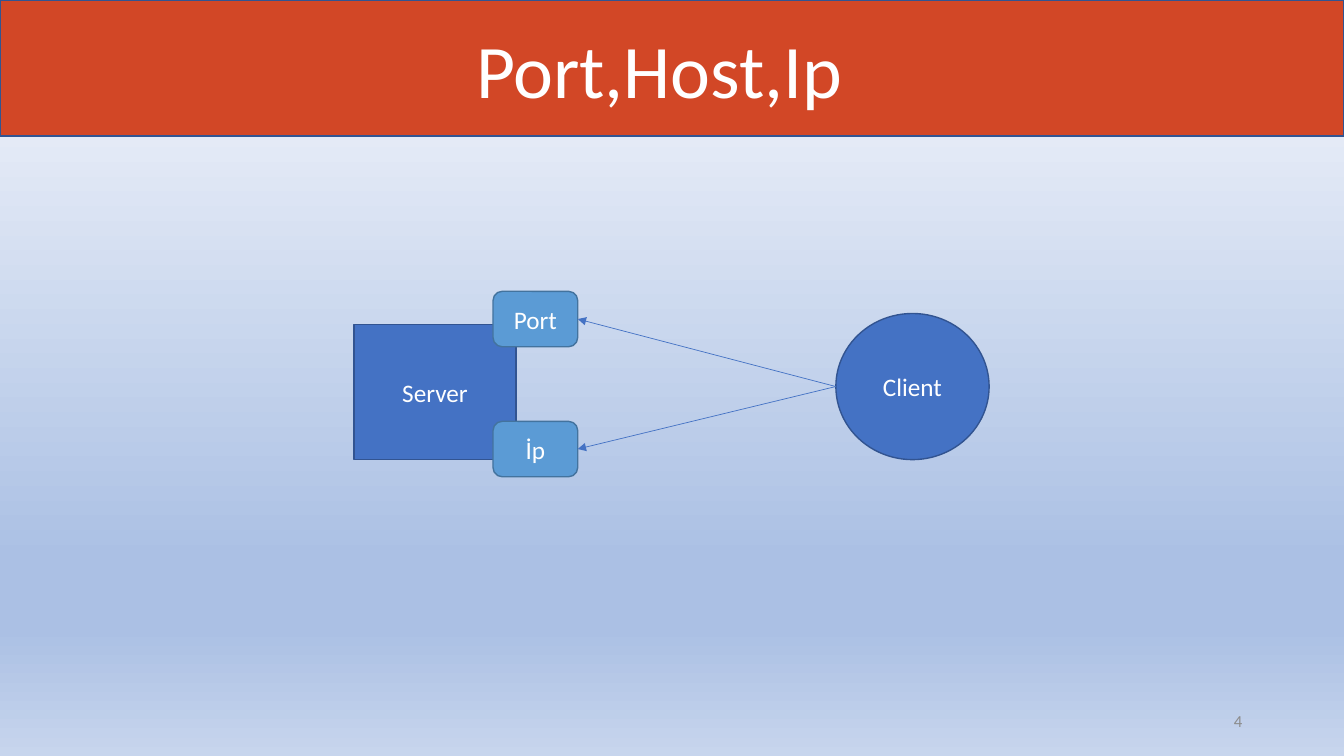
import pptx
import pptx.util
import pptx.dml.color
import pptx.enum.shapes
import pptx.enum.text
import pptx.oxml.ns
from lxml import etree

Inches = pptx.util.Inches
SHAPE = pptx.enum.shapes.MSO_SHAPE
ALIGN = pptx.enum.text.PP_ALIGN
qn = pptx.oxml.ns.qn

COLOURS = {
    "banner": "D24726",
    "node": "4472C4",
    "node_line": "325491",
    "endpoint": "5B9BD5",
    "endpoint_line": "43739E",
    "text": "FFFFFF",
    "number": "8C8C8C",
}
BACKGROUND_STOPS = [(0, "F6F8FC"), (74, "ABC0E4"), (83, "ABC0E4"), (100, "C7D5ED")]


def rgb(name):
    return pptx.dml.color.RGBColor.from_string(COLOURS[name])


def write_text(shape, text, size=18, colour="text", align=ALIGN.CENTER, wrap=True):
    frame = shape.text_frame
    frame.word_wrap = wrap
    frame.vertical_anchor = pptx.enum.text.MSO_ANCHOR.MIDDLE
    paragraph = frame.paragraphs[0]
    paragraph.alignment = align
    run = paragraph.add_run()
    run.text = text
    font_format = {"name": "Calibri", "size": pptx.util.Pt(size)}
    for attribute, value in font_format.items():
        setattr(run.font, attribute, value)
    run.font.color.rgb = rgb(colour)


presentation = pptx.Presentation()
presentation.slide_width = Inches(13.33)
presentation.slide_height = Inches(7.5)
slide = presentation.slides.add_slide(presentation.slide_layouts[6])

# Background gradient, running from top to bottom
background = slide.background.fill
background.gradient()
background.gradient_angle = 270
stop_list = next(slide.element.iter(qn("a:gsLst")))
for stop in list(stop_list):
    stop_list.remove(stop)
for position, colour in BACKGROUND_STOPS:
    stop = etree.SubElement(stop_list, qn("a:gs"), pos=str(position * 1000))
    etree.SubElement(stop, qn("a:srgbClr"), val=colour)

# Banner and diagram shapes, from back to front
shapes = {}
for name, kind, box, fill, line in [
    ("", SHAPE.RECTANGLE, (0, 0, 13.33, 1.35), "banner", "node_line"),
    ("Server", SHAPE.RECTANGLE, (3.51, 3.22, 1.61, 1.34), "node", "node_line"),
    ("Client", SHAPE.OVAL, (8.29, 3.11, 1.52, 1.45), "node", "node_line"),
    ("Port", SHAPE.ROUNDED_RECTANGLE, (4.89, 2.89, 0.84, 0.55), "endpoint", "endpoint_line"),
    ("İp", SHAPE.ROUNDED_RECTANGLE, (4.89, 4.18, 0.84, 0.55), "endpoint", "endpoint_line"),
]:
    shape = slide.shapes.add_shape(kind, *map(Inches, box))
    shape.shadow.inherit = False
    shape.fill.solid()
    shape.fill.fore_color.rgb = rgb(fill)
    shape.line.color.rgb = rgb(line)
    shape.line.width = pptx.util.Pt(1)
    if name:
        write_text(shape, name)
    shapes[name] = shape

# Title and slide number
title = slide.shapes.add_textbox(*map(Inches, (4.6, 0.17, 3.88, 1.01)))
write_text(title, "Port,Host,Ip", size=54, wrap=False)
number = slide.shapes.add_textbox(*map(Inches, (9.42, 6.95, 3, 0.4)))
write_text(number, "4", size=12, colour="number", align=ALIGN.RIGHT)

# Arrows from the left edge of the client to the right edge of each endpoint
client = shapes["Client"]
for name in ("Port", "İp"):
    endpoint = shapes[name]
    arrow = slide.shapes.add_connector(
        pptx.enum.shapes.MSO_CONNECTOR.STRAIGHT,
        client.left,
        client.top + client.height // 2,
        endpoint.left + endpoint.width,
        endpoint.top + endpoint.height // 2,
    )
    arrow.line.color.rgb = rgb("node")
    arrow.line.width = pptx.util.Pt(0.5)
    etree.SubElement(arrow.line._get_or_add_ln(), qn("a:tailEnd"), type="triangle")
    etree.SubElement(arrow.element.spPr, qn("a:effectLst"))

presentation.save("out.pptx")
